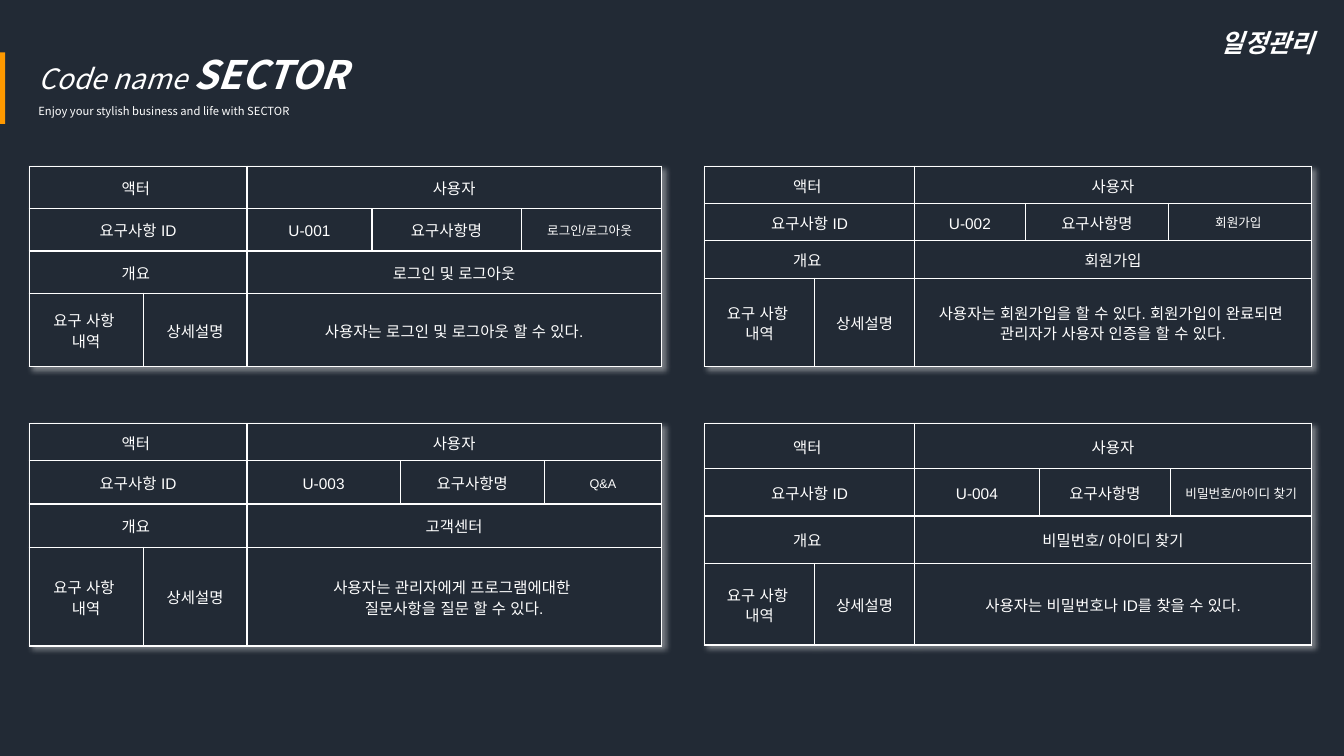
from lxml import etree
from pptx import Presentation
from pptx.dml.color import RGBColor
from pptx.enum.shapes import MSO_SHAPE as Shape
from pptx.enum.text import MSO_ANCHOR as Anchor, MSO_AUTO_SIZE as Fit, PP_ALIGN as Align
from pptx.oxml import parse_xml
from pptx.oxml.ns import nsdecls, qn
from pptx.util import Inches, Pt

NAVY, WHITE, ORANGE = "222A35", "FFFFFF", "FF9900"
HEAD, BODY = "Noto Sans CJK KR", "Arial"

LEFT, RIGHT = 0.29, 6.99
UPPER, LOWER = 1.65, 4.2

# place, column widths, row heights, ID, name, summary, detail lines
CARDS = [
    (RIGHT, UPPER, (1.09, 0.99, 1.1, 1.42, 1.42), (0.37, 0.37, 0.37, 0.88),
     "U-002", "회원가입 ", "회원가입",
     ["사용자는 회원가입을 할 수 있다. 회원가입이 완료되면 ", "관리자가 사용자 인증을 할 수 있다."]),
    (LEFT, LOWER, (1.13, 1.03, 1.52, 1.43, 1.16), (0.37, 0.43, 0.43, 0.98),
     "U-003", "Q&A", "고객센터",
     ["사용자는 관리자에게 프로그램에대한 ", "질문사항을 질문 할 수 있다."]),
    (RIGHT, LOWER, (1.09, 0.99, 1.24, 1.3, 1.4), (0.45, 0.47, 0.47, 0.81),
     "U-004", "비밀번호/아이디 찾기", "비밀번호/ 아이디 찾기",
     ["사용자는 비밀번호나 ID를 찾을 수 있다."]),
    (LEFT, UPPER, (1.13, 1.03, 1.24, 1.48, 1.39), (0.42, 0.42, 0.42, 0.73),
     "U-001", "로그인/로그아웃 ", "로그인 및 로그아웃",
     ["사용자는 로그인 및 로그아웃 할 수 있다."]),
]


def color(text):
    return RGBColor.from_string(text)


class Deck:
    def __init__(self):
        self.prs = Presentation()
        self.prs.slide_width, self.prs.slide_height = Inches(13.33), Inches(7.5)
        self.slide = self.prs.slides.add_slide(self.prs.slide_layouts[5])
        fill = self.slide.background.fill
        fill.solid()
        fill.fore_color.rgb = color(NAVY)

    def run(self, para, text, size, face=BODY, bold=False, slant=False):
        run = para.add_run()
        run.text = text
        font = run.font
        font.size, font.name, font.bold, font.italic = Pt(size), face, bold, slant
        font.color.rgb = color(WHITE)
        east = etree.SubElement(run._r.get_or_add_rPr(), qn("a:ea"))
        east.set("typeface", face)

    def bar(self, *place):
        bar = self.slide.shapes.add_shape(Shape.RECTANGLE, *map(Inches, place))
        bar.shadow.inherit = False
        bar.fill.solid()
        bar.fill.fore_color.rgb = color(ORANGE)
        bar.line.fill.background()

    def title(self, place, lines):
        title = self.slide.shapes.title
        title.left, title.top, title.width, title.height = map(Inches, place)
        frame = title.text_frame
        frame.word_wrap, frame.auto_size = True, Fit.SHAPE_TO_FIT_TEXT
        frame.vertical_anchor = Anchor.TOP
        for i, runs in enumerate(lines):
            para = frame.add_paragraph() if i else frame.paragraphs[0]
            para.alignment, para.line_spacing = Align.LEFT, 1.5
            for run in runs:
                self.run(para, *run)

    def label(self, place, text):
        frame = self.slide.shapes.add_textbox(*map(Inches, place)).text_frame
        frame.word_wrap, frame.auto_size = False, Fit.SHAPE_TO_FIT_TEXT
        self.run(frame.paragraphs[0], text, 18, HEAD, True, True)

    def cell(self, cell, lines, size=11):
        cell.margin_left = cell.margin_right = Inches(0.07)
        cell.margin_top = cell.margin_bottom = Inches(0.07)
        cell.vertical_anchor = Anchor.MIDDLE
        frame = cell.text_frame
        for i, line in enumerate(lines):
            para = frame.add_paragraph() if i else frame.paragraphs[0]
            para.alignment, para.line_spacing = Align.CENTER, 1.2
            self.run(para, line, size)

    def frame(self, cell):
        """Give a cell its fill and its four borders."""
        cell.fill.solid()
        cell.fill.fore_color.rgb = color(NAVY)
        props = cell._tc.get_or_add_tcPr()
        for i, side in enumerate(("lnL", "lnR", "lnT", "lnB")):
            props.insert(i, parse_xml(
                f'<a:{side} {nsdecls("a")} w="12700"><a:solidFill>'
                f'<a:srgbClr val="{WHITE}"/></a:solidFill></a:{side}>'))

    def glow(self, table):
        """Cast a pale shadow to the lower right."""
        table._tbl.tblPr.insert(0, parse_xml(
            f'<a:effectLst {nsdecls("a")}><a:outerShdw blurRad="50800" dist="38100" '
            f'dir="2700000" algn="tl" rotWithShape="0"><a:srgbClr val="{WHITE}">'
            '<a:alpha val="40000"/></a:srgbClr></a:outerShdw></a:effectLst>'))

    def card(self, left, top, cols, rows, code, name, brief, detail):
        place = map(Inches, (left, top, sum(cols), sum(rows)))
        table = self.slide.shapes.add_table(len(rows), len(cols), *place).table
        table.first_row = table.horz_banding = False
        self.glow(table)
        for col, width in zip(table.columns, cols):
            col.width = Inches(width)
        for row, height in zip(table.rows, rows):
            row.height = Inches(height)
        for cell in table.iter_cells():
            self.frame(cell)
        for r in range(3):
            table.cell(r, 0).merge(table.cell(r, 1))
        for r in (0, 2, 3):
            table.cell(r, 2).merge(table.cell(r, 4))
        texts = [
            {0: ["액터 "], 2: ["사용자"]},
            {0: ["요구사항 ID"], 2: [code], 3: ["요구사항명"], 4: [name]},
            {0: ["개요 "], 2: [brief]},
            {0: ["요구 사항 ", "내역"], 1: ["상세설명"], 2: detail},
        ]
        for r, row in enumerate(texts):
            for c, lines in row.items():
                self.cell(table.cell(r, c), lines, 9 if c == 4 else 11)


def main():
    deck = Deck()
    deck.bar(0, 0.52, 0.05, 0.71)
    deck.title((0.28, 0.22, 6.03, 1.01), [
        [("Code name ", 20, HEAD, False, True), ("SECTOR", 28, HEAD, True, True)],
        [("Enjoy your stylish business and life with SECTOR", 8, HEAD)],
    ])
    for card in CARDS:
        deck.card(*card)
    deck.label((12.01, 0.22, 1.21, 0.4), "일정관리")
    deck.prs.save("out.pptx")


if __name__ == "__main__":
    main()
